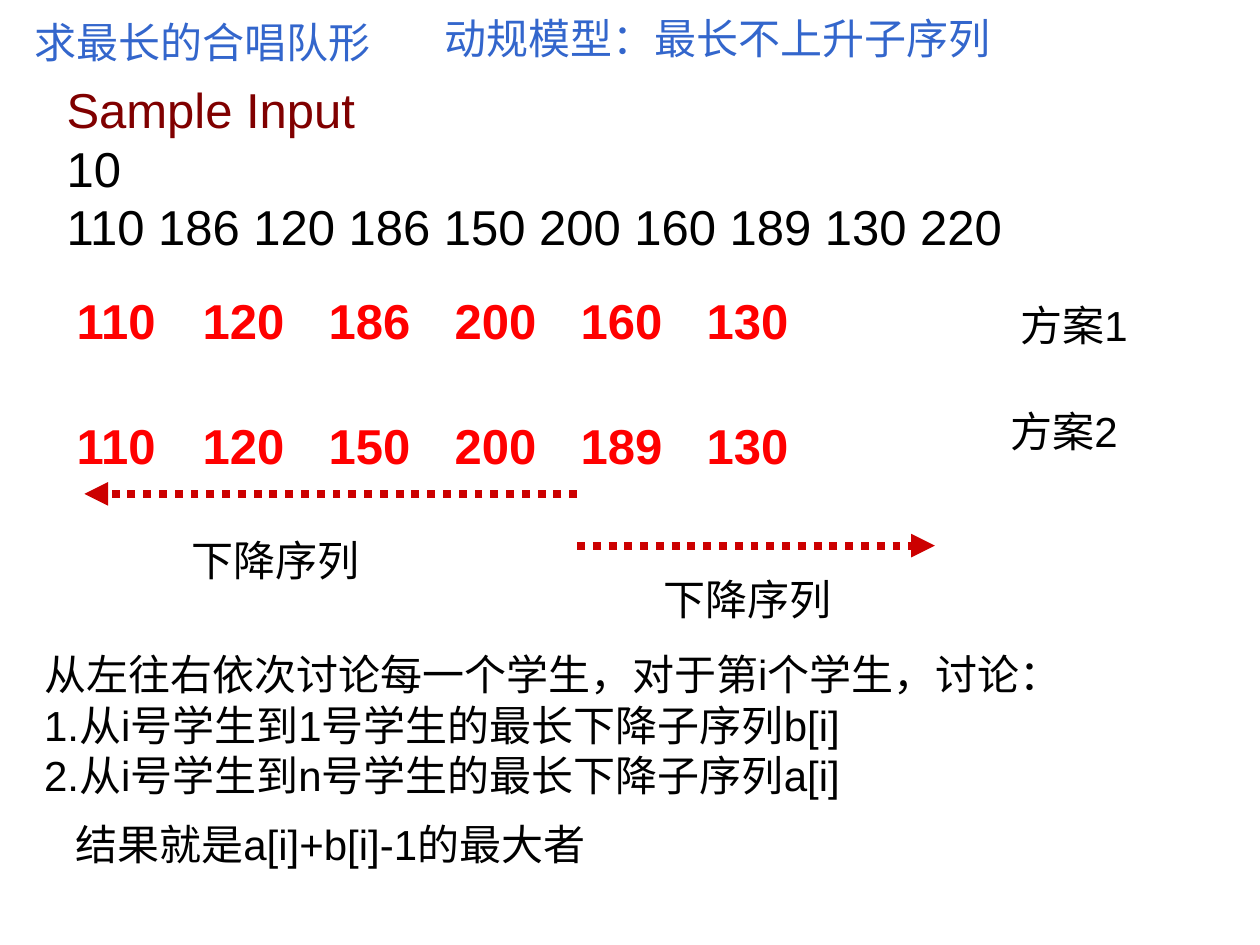
from lxml import etree
from pptx import Presentation
from pptx.dml.color import RGBColor
from pptx.enum import dml, shapes, text
from pptx.oxml import ns
from pptx.util import Inches, Pt

COLORS = {"blue": "3366CC", "maroon": "800000", "black": "000000",
          "red": "FF0000", "arrow": "CC0000"}

TITLE = "求最长的合唱队形"
TITLE_AREA = (0.17, 0.08, 3.11, 0.5)
MODEL = "动规模型：最长不上升子序列"
MODEL_AREA = (3.43, 0.05, 4.68, 0.5)

SAMPLE = ["Sample Input", "10", "110 186 120 186 150 200 160 189 130 220"]
SAMPLE_AREA = (0.43, 0.58, 7.65, 1.5)

STEPS = ["从左往右依次讨论每一个学生，对于第i个学生，讨论：",
         "1.从i号学生到1号学生的最长下降子序列b[i]",
         "2.从i号学生到n号学生的最长下降子序列a[i]"]
STEPS_AREA = (0.25, 5.1, 8.43, 1.3)

PLANS = [
    (2.26, ["110", "120", "186", "200", "160", "130"], [1.48, 2.24, 3.64, 4.51, 6.02]),
    (3.25, ["110", "120", "150", "200", "189", "130"], [1.48, 2.89, 3.64, 4.51, 6.02]),
]
LABELS = [
    ("方案1", (8, 2.33, 1.5, 0.5)),
    ("方案2", (7.92, 3.17, 1.5, 0.5)),
    ("下降序列", (1.42, 4.19, 1.99, 0.5)),
    ("下降序列", (5.17, 4.5, 1.99, 0.5)),
    ("结果就是a[i]+b[i]-1的最大者", (0.5, 6.45, 4.5, 0.5)),
]
PEAK_X = 4.58
ARROWS = [(0.67, 3.92), (7.42, 4.33)]


def rgb(name):
    return RGBColor.from_string(COLORS[name])


def write(box, area, lines, color="black", size=24, bold=False,
          anchor=text.MSO_ANCHOR.MIDDLE, tabs=()):
    box.left, box.top, box.width, box.height = map(Inches, area)
    frame = box.text_frame
    frame.text = "\n".join(lines)
    frame.word_wrap = True
    frame.auto_size = text.MSO_AUTO_SIZE.NONE
    frame.vertical_anchor = anchor
    for para in frame.paragraphs:
        para.alignment = text.PP_ALIGN.LEFT
        para.space_before = Pt(0)
        properties = para._p.get_or_add_pPr()
        properties.set("marL", "0")
        properties.set("indent", "0")
        etree.SubElement(properties, ns.qn("a:buNone"))
        if tabs:
            stops = etree.SubElement(properties, ns.qn("a:tabLst"))
            for stop in tabs:
                etree.SubElement(stops, ns.qn("a:tab"), pos=str(Inches(stop)), algn="l")
        para.font.name = "Arial"
        para.font.size = Pt(size)
        para.font.bold = bold
        para.font.color.rgb = rgb(color)
    return frame


def add_text(page, area, lines, **style):
    return write(page.shapes.add_textbox(*map(Inches, area)), area, lines, **style)


def add_arrow(page, end_x, y):
    arrow = page.shapes.add_connector(shapes.MSO_CONNECTOR.STRAIGHT,
                                      *map(Inches, (PEAK_X, y, end_x, y)))
    arrow.line.color.rgb = rgb("arrow")
    arrow.line.width = Pt(4.5)
    arrow.line.dash_style = dml.MSO_LINE.ROUND_DOT
    etree.SubElement(arrow.line._get_or_add_ln(), ns.qn("a:tailEnd"), type="triangle")
    etree.SubElement(arrow._element.spPr, ns.qn("a:effectLst"))


def main():
    deck = Presentation()
    deck.slide_width, deck.slide_height = Inches(10), Inches(7.5)
    page = deck.slides.add_slide(deck.slide_layouts[1])
    top = text.MSO_ANCHOR.TOP

    write(page.shapes.title, TITLE_AREA, [TITLE], color="blue")
    write(page.placeholders[1], STEPS_AREA, STEPS)
    add_text(page, MODEL_AREA, [MODEL], color="blue", anchor=top)
    sample = add_text(page, SAMPLE_AREA, SAMPLE, size=28, anchor=top)
    sample.paragraphs[0].font.color.rgb = rgb("maroon")
    for y, heights, tabs in PLANS:
        add_text(page, (0.51, y, 6.89, 0.57), ["\t".join(heights)],
                 color="red", size=28, bold=True, anchor=top, tabs=tabs)
    for label, area in LABELS:
        add_text(page, area, [label])
    for end_x, y in ARROWS:
        add_arrow(page, end_x, y)
    deck.save("out.pptx")


if __name__ == "__main__":
    main()
